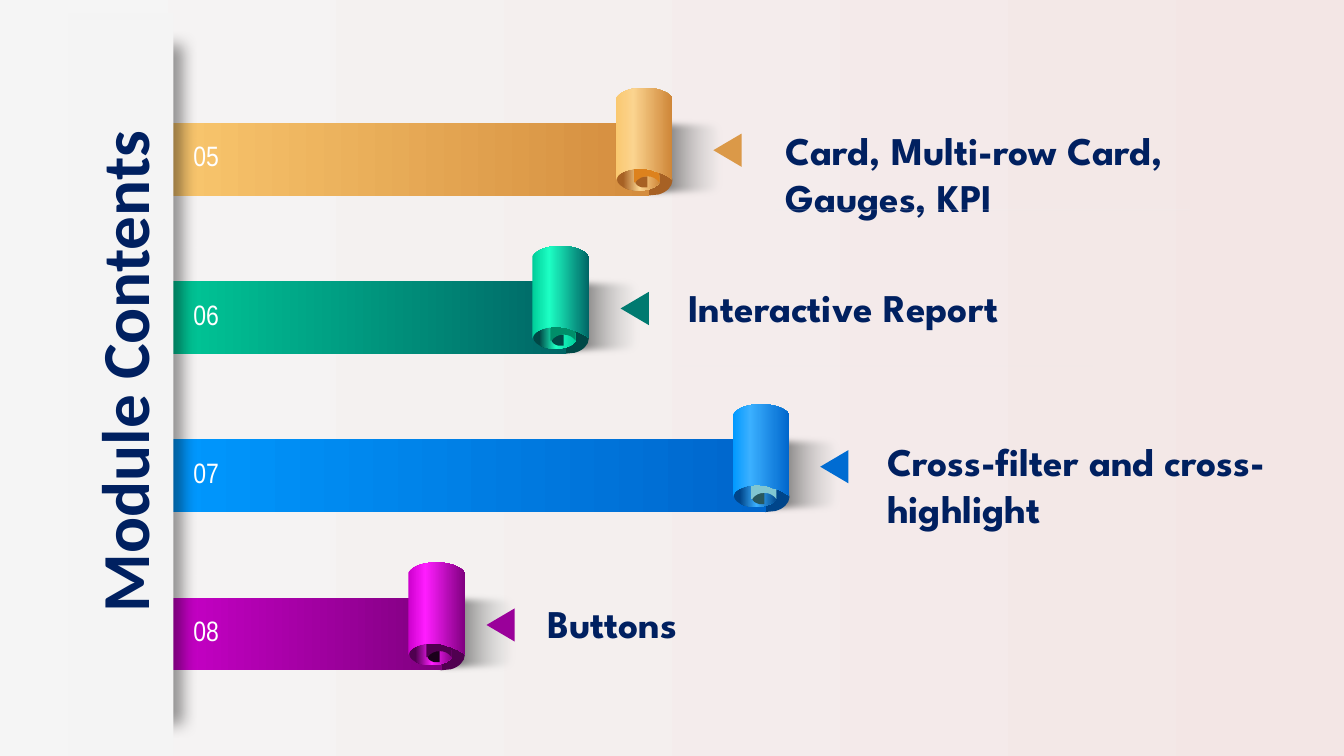
from lxml import etree
from pptx import Presentation
from pptx.dml.color import RGBColor
from pptx.enum.shapes import MSO_CONNECTOR as Conn, MSO_SHAPE as Kind
from pptx.enum.text import MSO_ANCHOR as Anchor, PP_ALIGN as Align
from pptx.oxml.ns import qn
from pptx.util import Inches, Pt

NAVY, PANEL, WHITE = "002060", "F4F4F4", "FFFFFF"
EDGE, TOP, PITCH = 1.51, 0.87, 1.57

# Outlines in inches from the roll's top left corner:
# two numbers are a straight step, six are a Bezier curve.
ROLL = [(.28, 0), (.39, 0, .51, .03, .56, .1), (.56, .91),
        (.52, .88, .48, .86, .43, .84), (.39, .83), (.34, .81),
        (.31, .81, .28, .8, .24, .8), (.13, .8, .03, .84, .01, .89),
        (0, .92), (0, .1), (.05, .03, .16, 0, .28, 0)]
INNER = [(.18, .51), (.22, .44, .39, .44, .43, .51), (.43, .94),
         (.4, .9, .36, .88, .31, .88), (.26, .88, .22, .9, .19, .94),
         (.18, .94)]
FLAP = [(.56, .92), (.56, .98, .5, 1.04, .42, 1.06), (.32, 1.07),
        (.32, .76), (.42, .77), (.5, .8, .56, .85, .56, .92)]
CURL = [(.19, .93), (.19, .96, .22, .98, .26, .99), (.31, .99),
        (.31, .88), (.26, .88), (.22, .89, .19, .91, .19, .93)]

# number, roll left, start, shine, end, flap, ellipse end, inner, curl
RIBBONS = [
    ("05", 6.11, "FAC86F", "FBD48F", "CE8537", "A76124", "CE8537", "DD821D", "A76124"),
    ("06", 5.28, "00CC99", "1DFFC4", "006666", "004846", "00CC99", "008E69", "004846"),
    ("07", 7.27, "0099FF", "3BB0FF", "0066CC", "00458A", "00458A", "81C6D1", "28585E"),
    ("08", 4.05, "CC00CC", "FF1DFF", "800080", "500050", "800080", "500050", "1A001A"),
]
# text, arrow left, arrow colour, text left, text top, width, height, rule below
LABELS = [
    ("Card, Multi-row Card, Gauges, KPI", 7.05, "DB9948", 7.69, 1.2, 4.42, 1.04, 2.08),
    ("Interactive Report", 6.13, "007A70", 6.73, 2.76, 6.4, .57, 3.63),
    ("Cross-filter and cross-highlight", 8.11, "006CD2", 8.7, 4.29, 4.28, 1.04, None),
    ("Buttons", 4.8, "9A009A", 5.33, 5.9, 4.59, .57, None),
]


def rgb(code):
    return RGBColor.from_string(code)


def blend(fill, root, stops):
    """Fill left to right with (position, colour, opacity) stops."""
    fill.gradient()
    fill.gradient_angle = 0
    row = root.find(".//" + qn("a:gsLst"))
    for old in list(row):
        row.remove(old)
    for pos, code, solid in stops:
        stop = etree.SubElement(row, qn("a:gs"), pos=str(pos * 1000))
        tint = etree.SubElement(stop, qn("a:srgbClr"), val=code)
        if solid < 100:
            etree.SubElement(tint, qn("a:alpha"), val=str(solid * 1000))


def paint(shape, look):
    """Colour a shape with one hex string or a list of stops."""
    shape.shadow.inherit = False
    shape.line.fill.background()
    if isinstance(look, str):
        shape.fill.solid()
        shape.fill.fore_color.rgb = rgb(look)
    else:
        blend(shape.fill, shape.element, look)
    return shape


def block(slide, kind, box, look):
    return paint(slide.shapes.add_shape(kind, *map(Inches, box)), look)


def effect(shape, name, **attrs):
    root = shape.element.spPr.find(qn("a:effectLst"))
    return etree.SubElement(root, qn("a:" + name), **attrs)


def outline(slide, left, top, steps, look):
    """Draw all points as straight steps, then join each curve's three."""
    dots = [(Inches(left + step[i]), Inches(top + step[i + 1]))
            for step in steps for i in range(0, len(step), 2)]
    pen = slide.shapes.build_freeform(*dots[0])
    pen.add_line_segments(dots[1:], close=True)
    shape = paint(pen.convert_to_shape(), look)
    lines = iter(shape.element.findall(".//" + qn("a:lnTo")))
    for step in steps[1:]:
        first = next(lines)
        if len(step) == 6:
            bend = etree.Element(qn("a:cubicBezTo"))
            first.addprevious(bend)
            for line in (first, next(lines), next(lines)):
                bend.append(line[0])
                line.getparent().remove(line)


def style(frame, size, face, code, bold=False):
    font = frame.paragraphs[0].runs[0].font
    font.size, font.name, font.bold = Pt(size), face, bold
    font.color.rgb = rgb(code)


def write(slide, box, text, *look):
    frame = slide.shapes.add_textbox(*map(Inches, box)).text_frame
    frame.word_wrap = True
    frame.text = text
    style(frame, *look)


def ribbon(slide, top, left, start, shine, end, dark, rim, inner, curl):
    """Draw a band from the panel edge to a roll at the given corner."""
    shade = block(slide, Kind.RECTANGLE, (left + .21, top + .27, .93, .86),
                  [(0, "000000", 100), (100, "E9EBEA", 0)])
    effect(shade, "softEdge", rad=str(Inches(.08)))
    outline(slide, left, top, FLAP, dark)
    tail = "D48D3E" if end == "CE8537" else end
    block(slide, Kind.RECTANGLE, (EDGE, top + .35, left + .33 - EDGE, .72),
          [(0, start, 100), (100, tail, 100)])
    block(slide, Kind.OVAL, (left + .01, top + .8, .43, .22),
          [(14, dark, 100), (52, shine, 100), (100, rim, 100)])
    outline(slide, left, top, CURL, curl)
    outline(slide, left, top, INNER, inner)
    outline(slide, left, top, ROLL,
            [(0, start, 100), (30, shine, 100), (100, end, 100)])


def label(slide, top, text, tip, code, left, y, wide, high, rule):
    """Place an arrow beside its roll, the topic, and a faint rule if any."""
    arrow = block(slide, Kind.ISOSCELES_TRIANGLE, (tip, top + .48, .33, .28), code)
    arrow.rotation = 270
    write(slide, (left, y, wide, high), text, 28, "League Spartan", NAVY, True)
    if rule:
        ends = map(Inches, (left, rule, left + 4.11, rule))
        line = slide.shapes.add_connector(Conn.STRAIGHT, *ends)
        line.line.width = Pt(.5)
        line.line.color.rgb = rgb("F2F2F2")
        tint = line.element.find(".//" + qn("a:srgbClr"))
        etree.SubElement(tint, qn("a:alpha"), val="30000")
        etree.SubElement(line.element.spPr, qn("a:effectLst"))


def panel(slide):
    strip = block(slide, Kind.RECTANGLE, (1.16, .45, .55, 6.72), PANEL)
    cast = effect(strip, "outerShdw", blurRad=str(Pt(11)), dist=str(Pt(7)),
                  dir="0", algn="l", rotWithShape="0")
    tint = etree.SubElement(cast, qn("a:srgbClr"), val="000000")
    etree.SubElement(tint, qn("a:alpha"), val="40000")
    block(slide, Kind.RECTANGLE, (.68, .13, 1.04, 7.37), PANEL)


def heading(slide, box, text):
    title = slide.shapes.title
    title.left, title.top, title.width, title.height = map(Inches, box)
    title.rotation = 270
    frame = title.text_frame
    frame.text = text
    frame.vertical_anchor = Anchor.MIDDLE
    frame.paragraphs[0].alignment = Align.CENTER
    style(frame, 48, "Calibri", NAVY, True)
    slide.shapes.element.append(title.element)  # bring in front of the panel


def main():
    deck = Presentation()
    deck.slide_width, deck.slide_height = Inches(13.33), Inches(7.5)
    slide = deck.slides.add_slide(deck.slide_layouts[5])
    blend(slide.background.fill, slide.element,
          [(0, "F5F5F5", 100), (100, "F3E6E5", 100)])
    tops = [TOP + PITCH * i for i in range(len(RIBBONS))]
    for top, (_, *look) in zip(tops, RIBBONS):
        ribbon(slide, top, *look)
    panel(slide)
    for top, (number, *_) in zip(tops, RIBBONS):
        write(slide, (1.82, top + .46, .55, .44), number, 20, "Arial Narrow", WHITE)
    for top, topic in zip(tops, LABELS):
        label(slide, top, *topic)
    heading(slide, (-2.47, 3.23, 7.37, .91), "Module Contents")
    deck.save("out.pptx")


if __name__ == "__main__":
    main()
